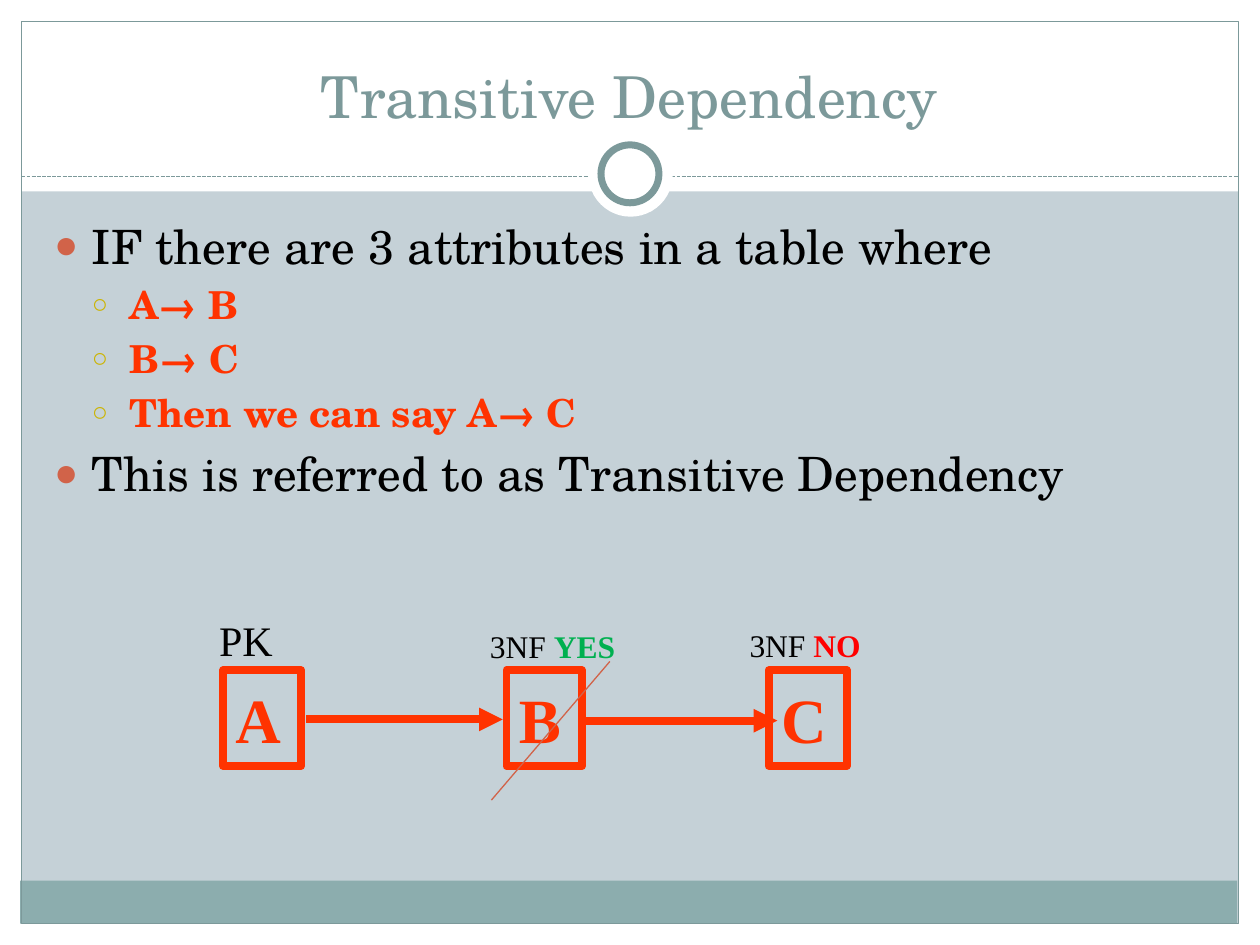
from dataclasses import dataclass

from lxml.etree import SubElement
from pptx import Presentation
from pptx.dml.color import RGBColor
from pptx.enum.dml import MSO_LINE
from pptx.enum.shapes import MSO_CONNECTOR as Connector, MSO_SHAPE as Preset
from pptx.enum.text import MSO_ANCHOR as Anchor, MSO_AUTO_SIZE as AutoSize, PP_ALIGN as Align
from pptx.oxml.ns import qn
from pptx.util import Inches, Pt


@dataclass(frozen=True)
class Theme:
    """Colours, fonts and type sizes of the slide."""
    background: str = "C5D1D7"
    white: str = "FFFFFF"
    black: str = "000000"
    frame: str = "7C999A"
    band: str = "8CADAE"
    accent: str = "FF3300"
    strike: str = "D16349"
    yes: str = "00B050"
    no: str = "FF0000"
    heading_font: str = "TeX Gyre Schola"
    diagram_font: str = "Times New Roman"
    title_size: int = 33
    node_size: int = 36
    key_size: int = 24
    note_size: int = 18
    thin: float = 0.75
    ring: float = 4
    thick: float = 4.5


THEME = Theme()

TITLE = "Transitive Dependency"
BULLETS = [
    (0, "IF there are 3 attributes in a table where"),
    (1, "A→ B"),
    (1, "B→ C"),
    (1, "Then we can say A→ C"),
    (0, "This is referred to as Transitive Dependency"),
]
# bullet, bullet colour, bullet percent, text size, text colour, bold
LEVELS = [
    ("●", THEME.strike, 85, 27, THEME.black, False),
    ("○", "CCB400", 70, 22, THEME.accent, True),
]
# preset, (left, top, width, height), fill, line colour, line width
BACKDROP = [
    (Preset.RECTANGLE, (0, 7.33, 10, 0.17), THEME.white, None, 0),
    (Preset.RECTANGLE, (0, 0, 10, 1.52), THEME.white, None, 0),
    (Preset.RECTANGLE, (0, 0, 0.17, 7.5), THEME.white, None, 0),
    (Preset.RECTANGLE, (9.83, 0, 0.17, 7.5), THEME.white, None, 0),
    (Preset.RECTANGLE, (0.16, 6.99, 9.66, 0.34), THEME.band, None, 0),
    (Preset.RECTANGLE, (0.17, 0.17, 9.66, 7.16), None, THEME.frame, THEME.thin),
]
RINGS = [
    (Preset.OVAL, (4.67, 1.05, 0.67, 0.67), THEME.white, None, 0),
    (Preset.OVAL, (4.77, 1.15, 0.46, 0.46), THEME.white, THEME.frame, THEME.ring),
]
NODE_TOP, NODE_HEIGHT = 5.32, 0.76
NODES = [("A", 1.77, 0.62), ("B", 4.02, 0.6), ("C", 6.1, 0.62)]
ARROWS = [((2.43, 5.71), (3.99, 5.71)), ((4.61, 5.72), (6.17, 5.72))]
STRIKE = ((3.9, 6.35), (4.84, 5.25))
# (left, top, width, height), size, runs of (text, colour, bold)
NOTES = [
    ((3.79, 4.93, 1.2, 0.4), THEME.note_size,
     [("3NF ", THEME.black, False), ("YES", THEME.yes, True)]),
    ((5.85, 4.92, 1.09, 0.4), THEME.note_size,
     [("3NF ", THEME.black, False), ("NO", THEME.no, True)]),
    ((1.64, 4.83, 0.63, 0.5), THEME.key_size, [("PK", THEME.black, False)]),
]


def rgb(value):
    """Turn a hex string into a colour."""
    return RGBColor.from_string(value)


def style(font, name, size, color, bold=False):
    """Set the face, size, colour and weight of a font."""
    font.name, font.size, font.bold = name, Pt(size), bold
    font.color.rgb = rgb(color)


def place(shape, left, top, width, height):
    """Move and resize a shape, in inches."""
    shape.left, shape.top = Inches(left), Inches(top)
    shape.width, shape.height = Inches(width), Inches(height)


def add_figure(page, preset, area, fill, line, width):
    """Add a flat preset shape."""
    shape = page.shapes.add_shape(preset, *map(Inches, area))
    shape.shadow.inherit = False
    if fill:
        shape.fill.solid()
        shape.fill.fore_color.rgb = rgb(fill)
    else:
        shape.fill.background()
    if line:
        shape.line.color.rgb = rgb(line)
        shape.line.width = Pt(width)
    else:
        shape.line.fill.background()
    return shape


def add_line(page, start, end, color, width, dash=None, arrow=False):
    """Add a straight line, optionally dashed or with an arrowhead."""
    points = map(Inches, (*start, *end))
    line = page.shapes.add_connector(Connector.STRAIGHT, *points)
    line.line.color.rgb = rgb(color)
    line.line.width = Pt(width)
    if dash:
        line.line.dash_style = dash
    if arrow:
        SubElement(line.line._get_or_add_ln(), qn("a:tailEnd"), type="triangle")
    SubElement(line.element.spPr, qn("a:effectLst"))


def add_bullet(para, level, text):
    """Fill one list paragraph with its bullet and text."""
    mark, mark_color, percent, size, color, bold = LEVELS[level]
    para.text, para.level = text, level
    props = para._p.get_or_add_pPr()
    props.set("marL", str(Inches(0.3 * (level + 1))))
    props.set("indent", str(Inches(-0.3)))
    SubElement(SubElement(props, qn("a:buClr")), qn("a:srgbClr"), val=mark_color)
    SubElement(props, qn("a:buSzPct"), val=str(percent * 1000))
    SubElement(props, qn("a:buChar"), char=mark)
    style(para.font, THEME.heading_font, size, color, bold)


def fill_placeholders(page):
    """Write the title and the list, in front of the backdrop."""
    title, body = page.shapes.title, page.placeholders[1]
    place(title, 0.33, 0.25, 9.33, 0.83)
    place(body, 0.33, 1.67, 9.3, 5)
    for holder in (title, body):
        holder.element.getparent().append(holder.element)
        holder.text_frame.auto_size = AutoSize.NONE
    title.text_frame.vertical_anchor = Anchor.BOTTOM
    title.text_frame.text = TITLE
    heading = title.text_frame.paragraphs[0]
    heading.alignment = Align.CENTER
    style(heading.font, THEME.heading_font, THEME.title_size, THEME.frame)
    frame = body.text_frame
    for index, (level, text) in enumerate(BULLETS):
        para = frame.add_paragraph() if index else frame.paragraphs[0]
        add_bullet(para, level, text)


def add_node(page, name, left, width):
    """Add one outlined attribute box."""
    area = (left, NODE_TOP, width, NODE_HEIGHT)
    box = add_figure(page, Preset.RECTANGLE, area, None, THEME.accent, THEME.thick)
    box.text_frame.word_wrap = False
    box.text_frame.vertical_anchor = Anchor.MIDDLE
    para = box.text_frame.paragraphs[0]
    para.text, para.alignment = name, Align.LEFT
    style(para.font, THEME.diagram_font, THEME.node_size, THEME.accent, True)


def add_note(page, area, size, runs):
    """Add a label above an attribute box."""
    box = page.shapes.add_textbox(*map(Inches, area))
    box.text_frame.word_wrap = False
    para = box.text_frame.paragraphs[0]
    for text, color, bold in runs:
        span = para.add_run()
        span.text = text
        style(span.font, THEME.diagram_font, size, color, bold)


def build():
    """Build and save the slide."""
    deck = Presentation()
    deck.slide_width, deck.slide_height = Inches(10), Inches(7.5)
    page = deck.slides.add_slide(deck.slide_layouts[1])
    page.background.fill.solid()
    page.background.fill.fore_color.rgb = rgb(THEME.background)
    for figure in BACKDROP:
        add_figure(page, *figure)
    add_line(page, (0.17, 1.4), (9.83, 1.4), THEME.frame, THEME.thin,
             dash=MSO_LINE.SQUARE_DOT)
    for ring in RINGS:
        add_figure(page, *ring)
    fill_placeholders(page)
    for node in NODES:
        add_node(page, *node)
    for start, end in ARROWS:
        add_line(page, start, end, THEME.accent, THEME.thick, arrow=True)
    for note in NOTES:
        add_note(page, *note)
    add_line(page, *STRIKE, THEME.strike, THEME.thin)
    deck.save("out.pptx")


build()
